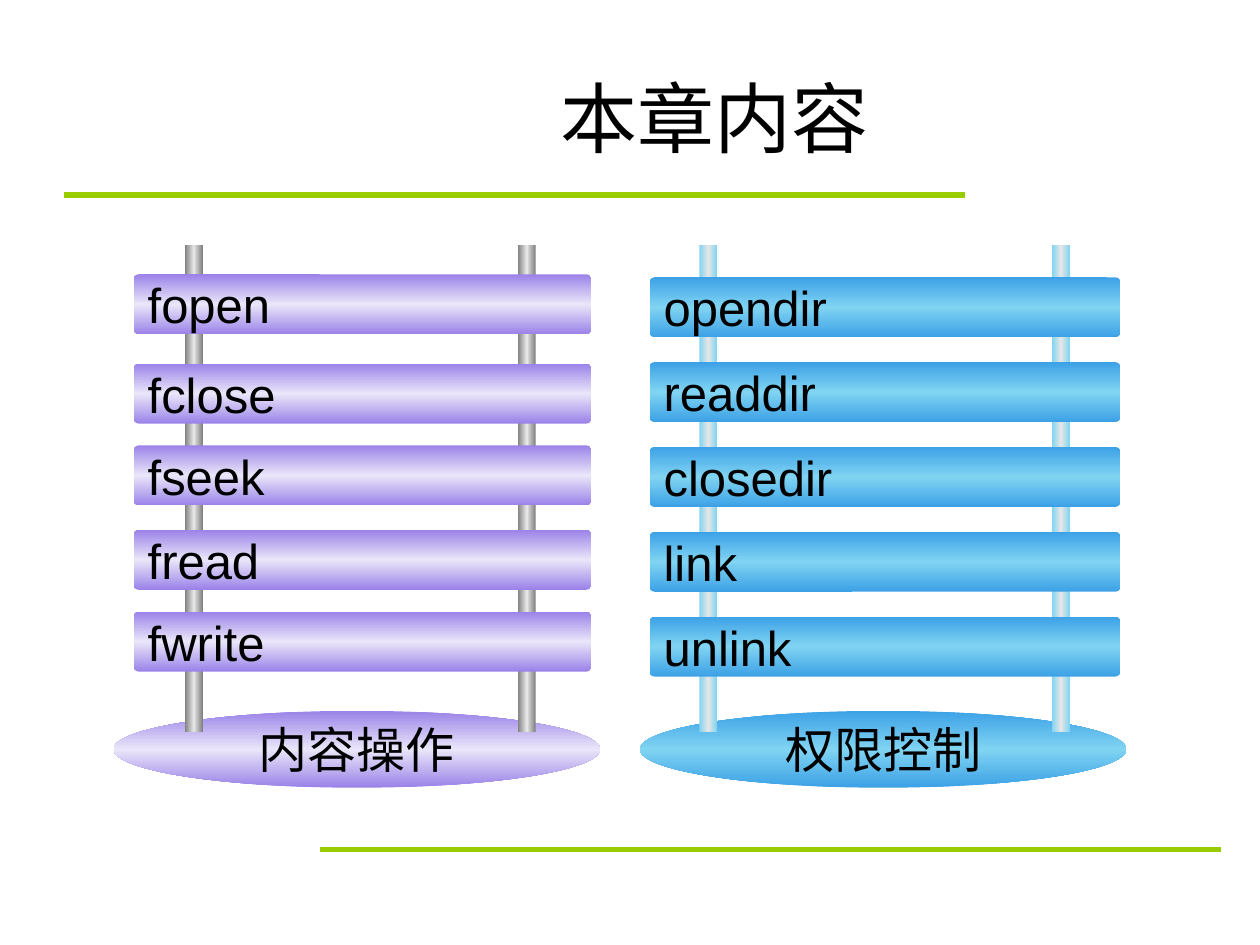
from copy import deepcopy

from pptx import Presentation
from pptx.dml.color import RGBColor
from pptx.enum.shapes import MSO_CONNECTOR, MSO_SHAPE
from pptx.enum.text import MSO_ANCHOR, PP_ALIGN
from pptx.oxml import parse_xml
from pptx.oxml.ns import nsdecls, qn
from pptx.util import Cm, Pt

OVAL, BAR, POLE = MSO_SHAPE.OVAL, MSO_SHAPE.ROUNDED_RECTANGLE, MSO_SHAPE.RECTANGLE
STRAIGHT = MSO_CONNECTOR.STRAIGHT
MIDDLE = MSO_ANCHOR.MIDDLE
LEFT, CENTER = PP_ALIGN.LEFT, PP_ALIGN.CENTER

COLORS = {
    "text": "000000", "rule": "99CC00",
    "violet": "9A82E8", "pale violet": "EAE6F9",
    "blue": "3CA1E6", "sky": "80D4F2",
    "grey": "808080", "silver": "E6E6E6",
}
FONT = "Arial"

# Content; lengths in cm, gradients as (edge, middle)
TITLE = "本章内容"
RULES = [(1.3, 3.93), (6.45, 17.12)]  # left, top
RULE_WIDTH = 18.16
LADDERS = [
    {
        "base": "内容操作", "base_left": 2.29,
        "steps": ["fopen", "fclose", "fseek", "fread", "fwrite"],
        "step_left": 2.7, "step_width": 9.22,
        "step_tops": [5.53, 7.33, 8.98, 10.68, 12.33],
        "pole_lefts": [10.44, 3.73],
        "step_fill": ("violet", "pale violet"), "pole_fill": ("grey", "silver"),
    },
    {
        "base": "权限控制", "base_left": 12.9,
        "steps": ["opendir", "readdir", "closedir", "link", "unlink"],
        "step_left": 13.1, "step_width": 9.48,
        "step_tops": [5.59 + 1.71 * i for i in range(5)],
        "pole_lefts": [21.21, 14.1],
        "step_fill": ("blue", "sky"), "pole_fill": ("sky", "silver"),
    },
]
BASE_TOP, BASE_WIDTH, BASE_HEIGHT = 14.33, 9.81, 1.55
POLE_TOP, POLE_WIDTH, POLE_HEIGHT = 4.93, 0.36, 9.83
STEP_HEIGHT = 1.21


def rgb(name):
    return RGBColor.from_string(COLORS[name])


def write(shape, text, size, align):
    frame = shape.text_frame
    frame.text = text
    frame.word_wrap = True
    frame.vertical_anchor = MIDDLE
    paragraph = frame.paragraphs[0]
    paragraph.alignment = align
    font = paragraph.runs[0].font
    font.name, font.size = FONT, Pt(size)
    font.color.rgb = rgb("text")


def add_shaded(slide, kind, box, shades, angle):
    shape = slide.shapes.add_shape(kind, *map(Cm, box))
    shape.shadow.inherit = False
    shape.line.fill.background()
    shape.fill.gradient()
    shape.fill.gradient_angle = angle
    # A third stop makes the shading symmetric
    stop_list = shape.fill._xPr.find(".//" + qn("a:gsLst"))
    stop_list.append(deepcopy(stop_list[0]))
    edge, middle = shades
    for stop, position, shade in zip(
        shape.fill.gradient_stops, (0, 0.5, 1), (edge, middle, edge)
    ):
        stop.position = position
        stop.color.rgb = rgb(shade)
    return shape


def add_rule(slide, left, top):
    rule = slide.shapes.add_connector(
        STRAIGHT, Cm(left), Cm(top), Cm(left + RULE_WIDTH), Cm(top)
    )
    rule.line.color.rgb = rgb("rule")
    rule.line.width = Pt(3)
    rule._element.spPr.append(parse_xml(f"<a:effectLst {nsdecls('a')}/>"))


def add_ladder(slide, ladder):
    # Base
    box = (ladder["base_left"], BASE_TOP, BASE_WIDTH, BASE_HEIGHT)
    base = add_shaded(slide, OVAL, box, ladder["step_fill"], 90)
    write(base, ladder["base"], 28, CENTER)
    # Poles
    for left in ladder["pole_lefts"]:
        box = (left, POLE_TOP, POLE_WIDTH, POLE_HEIGHT)
        add_shaded(slide, POLE, box, ladder["pole_fill"], 0)
    # Steps
    for name, top in zip(ladder["steps"], ladder["step_tops"]):
        box = (ladder["step_left"], top, ladder["step_width"], STEP_HEIGHT)
        step = add_shaded(slide, BAR, box, ladder["step_fill"], 90)
        step.adjustments[0] = 0.08
        write(step, name, 28, LEFT)


def main():
    deck = Presentation()
    deck.slide_width, deck.slide_height = Cm(25.4), Cm(19.05)
    slide = deck.slides.add_slide(deck.slide_layouts[6])

    for left, top in RULES:
        add_rule(slide, left, top)
    title = slide.shapes.add_textbox(Cm(4.7), Cm(0.76), Cm(19.43), Cm(3.18))
    write(title, TITLE, 44, CENTER)
    for ladder in LADDERS:
        add_ladder(slide, ladder)

    deck.save("out.pptx")


if __name__ == "__main__":
    main()
